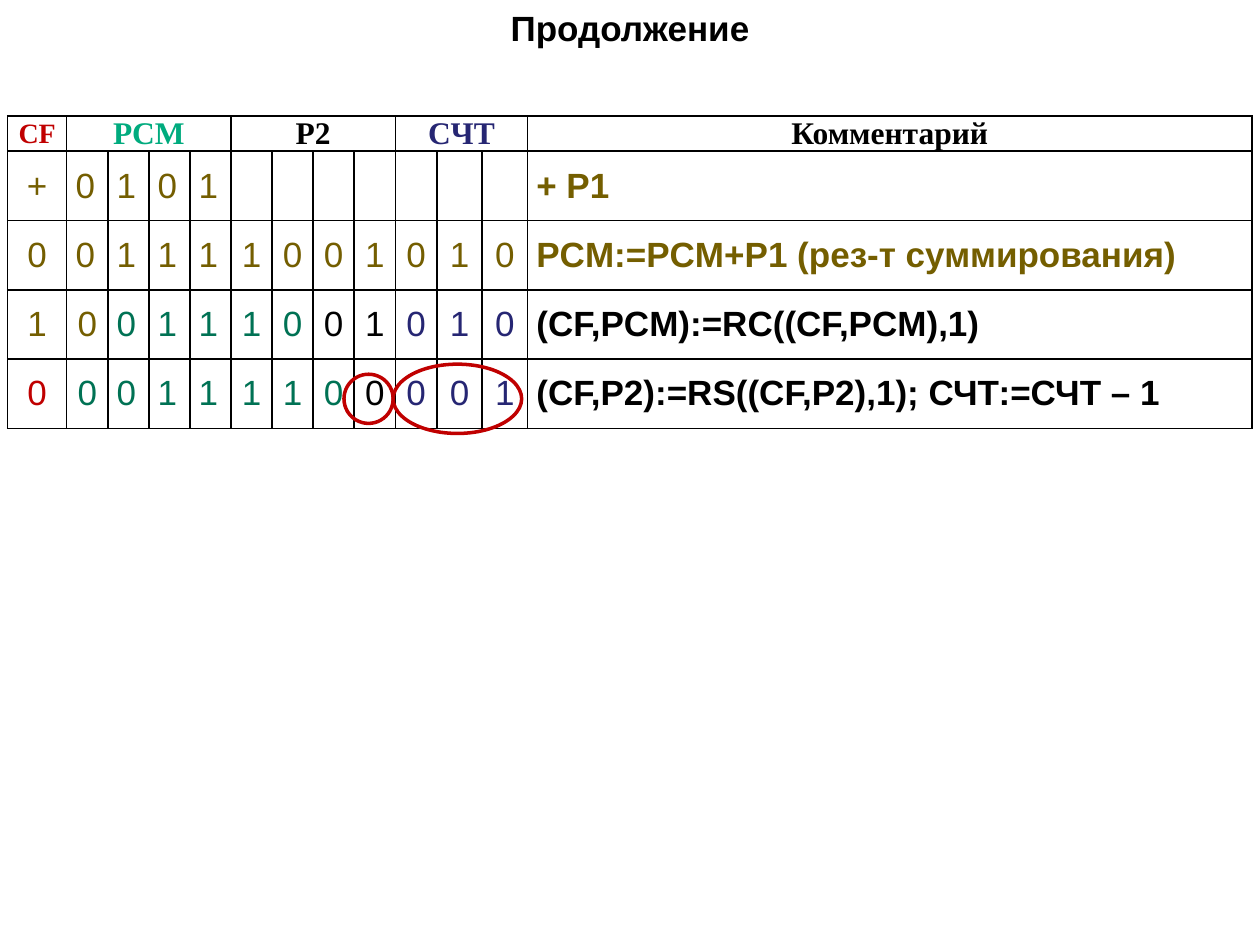
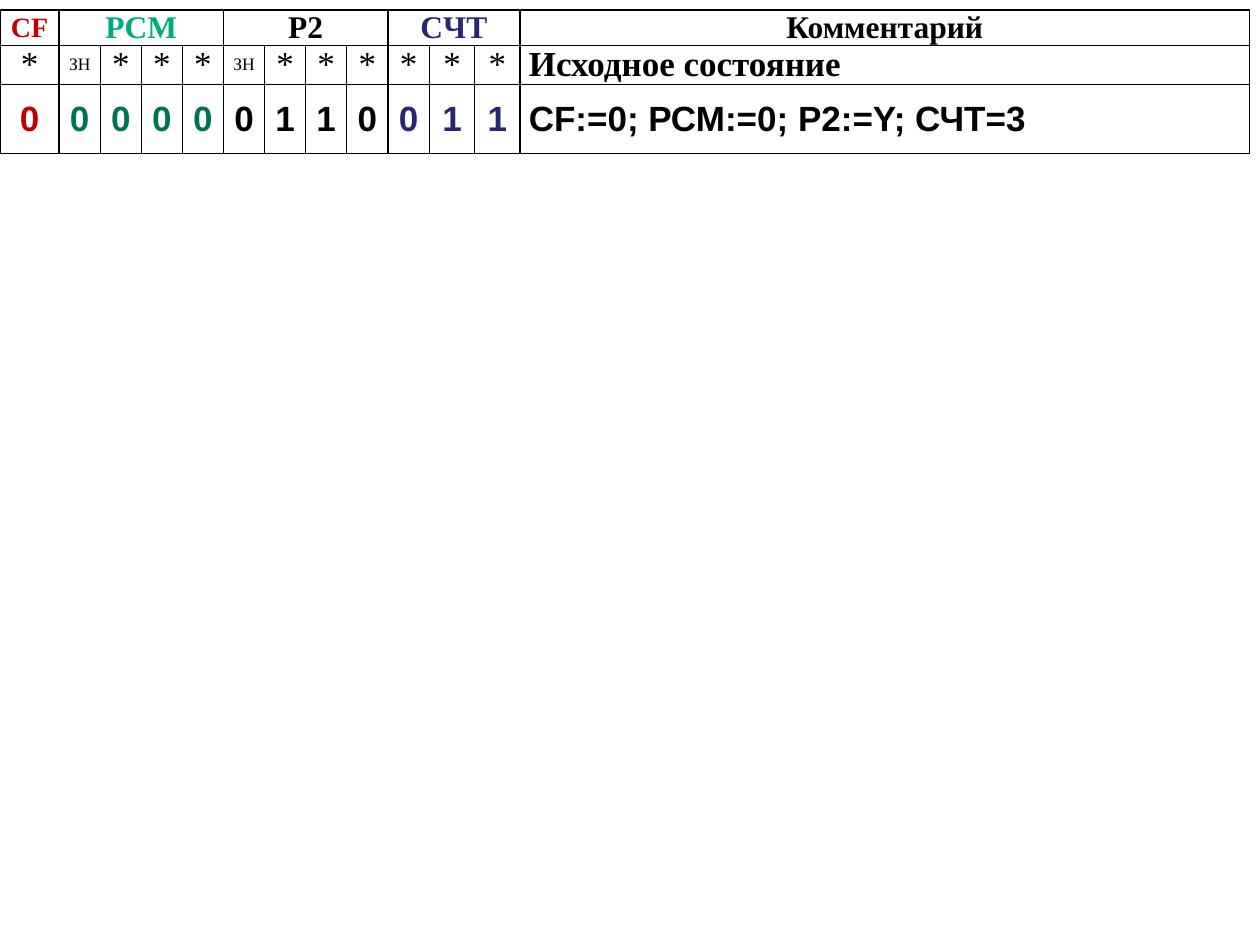
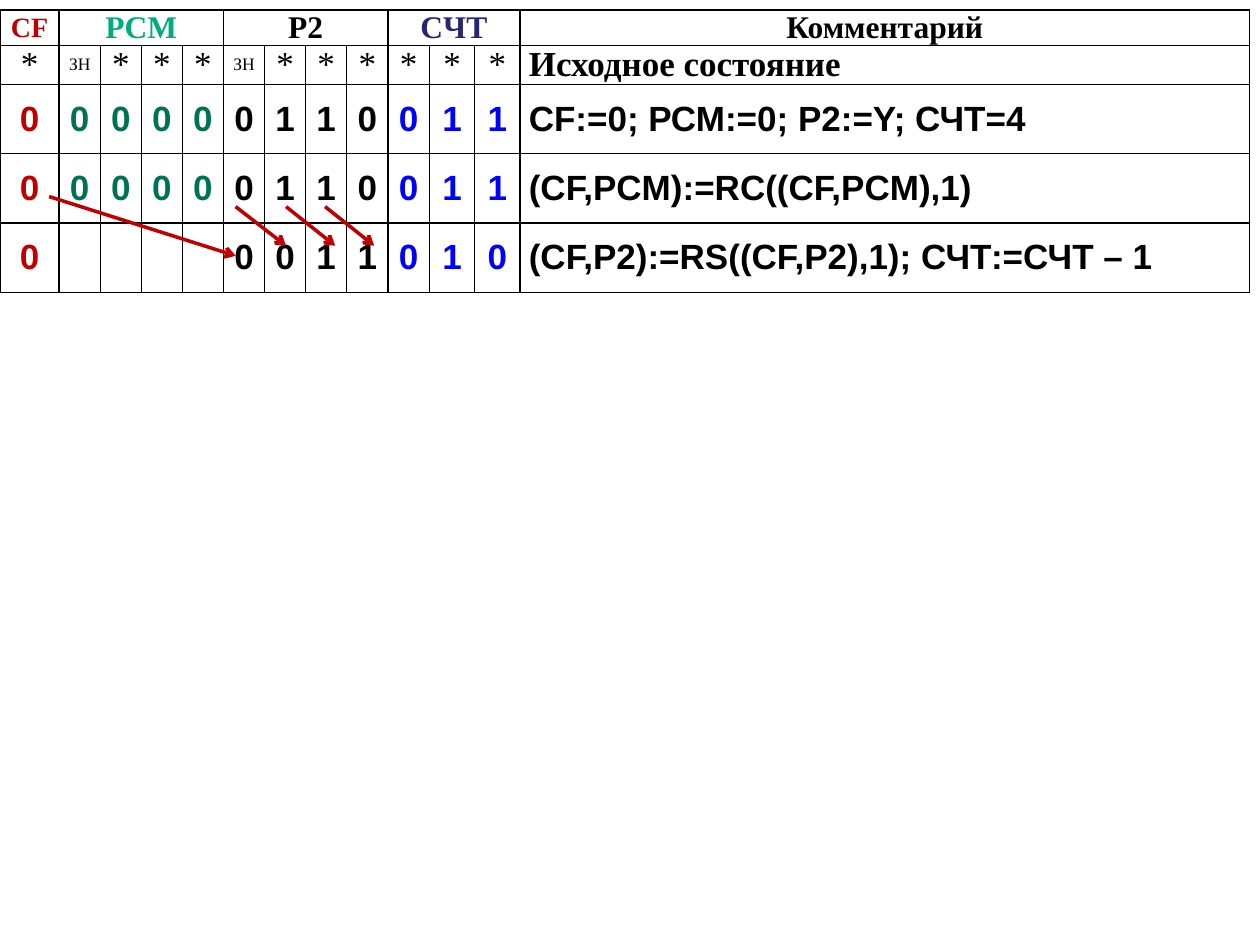
import pptx
import pptx.util
import pptx.dml.color
import pptx.enum.shapes
import pptx.enum.text
import pptx.oxml
import lxml.etree

Inches, Pt = pptx.util.Inches, pptx.util.Pt
RGBColor = pptx.dml.color.RGBColor
ALIGN = pptx.enum.text.PP_ALIGN
MIDDLE = pptx.enum.text.MSO_ANCHOR.MIDDLE
SHAPE = pptx.enum.shapes.MSO_SHAPE
STRAIGHT = pptx.enum.shapes.MSO_CONNECTOR.STRAIGHT
NS = 'xmlns:a="http://schemas.openxmlformats.org/drawingml/2006/main"'

# Colours, with one letter each for the table rows
RED = RGBColor(0xC0, 0x00, 0x00)
MINT = RGBColor(0x00, 0xAB, 0x7E)
GREEN = RGBColor(0x00, 0x72, 0x54)
OLIVE = RGBColor(0x74, 0x5E, 0x00)
NAVY = RGBColor(0x26, 0x26, 0x73)
BLUE = RGBColor(0x00, 0x00, 0xFF)
BLACK = RGBColor(0x00, 0x00, 0x00)
INKS = {"R": RED, "M": MINT, "G": GREEN, "O": OLIVE, "N": NAVY, "B": BLUE, "K": BLACK}

SANS, SERIF = "Arial", "Times New Roman"
NOTE = 12  # column of the comment
BITS = [0.47] + [2.61 / 8] * 8 + [0.33, 0.36, 0.36]
HEADS = {0: ("CF", RED), 1: ("PCM", MINT), 5: ("P2", BLACK),
         9: ("CЧТ", NAVY), NOTE: ("Комментарий", BLACK)}
SPANS = [(1, 4), (5, 8), (9, 11)]


def write(cell, text, face, size, ink, bold, align):
    cell.margin_left = cell.margin_right = Inches(0.07)
    cell.margin_top = cell.margin_bottom = 0
    cell.vertical_anchor = MIDDLE
    props = cell._tc.get_or_add_tcPr()
    for side in "LRTB":
        props.append(pptx.oxml.parse_xml(
            f'<a:ln{side} {NS} w="12700"><a:solidFill><a:srgbClr val="000000"/>'
            f'</a:solidFill></a:ln{side}>'))
    cell.fill.background()
    cell.text = text
    para = cell.text_frame.paragraphs[0]
    para.alignment = align
    para.space_after = Pt(3)
    font = para.font
    font.name, font.size, font.bold = face, Pt(size), bold
    font.color.rgb = ink


def grid(slide, left, top, width, rows, bold):
    high = [0.28] + [0.31 if row[0][0] == "*" else 0.55 for row in rows]
    frame = slide.shapes.add_table(len(high), NOTE + 1, Inches(left), Inches(top),
                                   Inches(width), Inches(sum(high)))
    table = frame.table
    table.first_row = table.horz_banding = False
    for col, wide in zip(table.columns, BITS + [width - sum(BITS)]):
        col.width = Inches(wide)
    for row, tall in zip(table.rows, high):
        row.height = Inches(tall)

    # Heading row
    for col in range(NOTE + 1):
        text, ink = HEADS.get(col, ("", BLACK))
        write(table.cell(0, col), text, SERIF, 18 if col else 16, ink, True, ALIGN.CENTER)
    for first, last in SPANS:
        table.cell(0, first).merge(table.cell(0, last))

    # Register rows: bits, colour letters, comment, columns set to the left
    for num, (bits, inks, note, flush) in enumerate(rows, 1):
        face = SERIF if bits[0] == "*" else SANS
        for col, text in enumerate([*bits, note]):
            align = ALIGN.LEFT if col == NOTE or col in flush else ALIGN.CENTER
            strong = col == NOTE or (bold and face == SANS)
            write(table.cell(num, col), text.strip("."), face, 10 if text == "ЗН" else 20,
                  INKS[inks[col]], strong, align)


deck = pptx.Presentation()
deck.slide_width, deck.slide_height = Inches(10), Inches(7.5)
plain = deck.slide_layouts[6]

# Slide 1: addition and shift
slide = deck.slides.add_slide(deck.slide_layouts[5])
title = slide.shapes.title
title.left, title.top, title.width, title.height = 0, 0, Inches(10), Inches(0.44)
title.text_frame.text = "Продолжение"
title.text_frame.vertical_anchor = MIDDLE
para = title.text_frame.paragraphs[0]
para.alignment = ALIGN.CENTER
para.font.name, para.font.size, para.font.bold = SANS, Pt(20), True
para.font.color.rgb = BLACK

SHIFT = "(CF,P2):=RS((CF,P2),1); СЧТ:=СЧТ – 1"
TURN = "(CF,PCM):=RС((CF,PCM),1)"
grid(slide, 0.06, 0.92, 9.88, [
    ("+0101.......", "O" * 13, "+ P1", (1, 2, 3, 4)),
    ("001111001010", "O" * 13, "PCM:=PCM+P1 (рез-т суммирования)", (1, 2, 3, 4)),
    ("100111001010", "OOGGGGGKKNNNK", TURN, (2, 3, 4)),
    ("000111100001", "RGGGGGGGKNNNK", SHIFT, (2, 3, 4)),
], False)

# Rings round the counter and the low bit
for left, top, width, height in [(3.12, 2.89, 1.02, 0.55), (2.73, 2.97, 0.39, 0.39)]:
    ring = slide.shapes.add_shape(SHAPE.OVAL, Inches(left), Inches(top),
                                  Inches(width), Inches(height))
    ring.shadow.inherit = False
    ring.fill.background()
    ring.line.color.rgb = RED
    ring.line.width = Pt(2)

# Slide 2: initial state
START = (["*", *["ЗН", "*", "*", "*"] * 2, "*", "*", "*"], "K" * 13, "Исходное состояние", ())
slide = deck.slides.add_slide(plain)
grid(slide, 0, 0.08, 9.92, [
    START,
    ("000000110011", "RGGGGKKKKNNNK", "CF:=0; РСМ:=0; Р2:=Y; СЧТ=3", ()),
], True)

# Slide 3: first shift
slide = deck.slides.add_slide(plain)
tints = "RGGGGKKKKBBBK"
grid(slide, 0, 0.08, 9.92, [
    START,
    ("000000110011", tints, "CF:=0; РСМ:=0; Р2:=Y; СЧТ=4", ()),
    ("000000110011", tints, TURN, ()),
    ("0....0011010", tints, SHIFT, ()),
], True)

# Arrows from each bit to its new place
for ends in [(0.39, 1.56, 1.87, 2.03), (2.58, 1.64, 2.97, 1.95),
             (2.27, 1.64, 2.66, 1.95), (1.87, 1.64, 2.27, 1.95)]:
    arrow = slide.shapes.add_connector(STRAIGHT, *[Inches(end) for end in ends])
    arrow.line.color.rgb = RED
    arrow.line.width = Pt(2)
    arrow.line._get_or_add_ln().append(
        pptx.oxml.parse_xml(f'<a:tailEnd {NS} type="arrow"/>'))
    arrow._element.spPr.append(pptx.oxml.parse_xml(f'<a:effectLst {NS}/>'))

deck.save("out.pptx")
